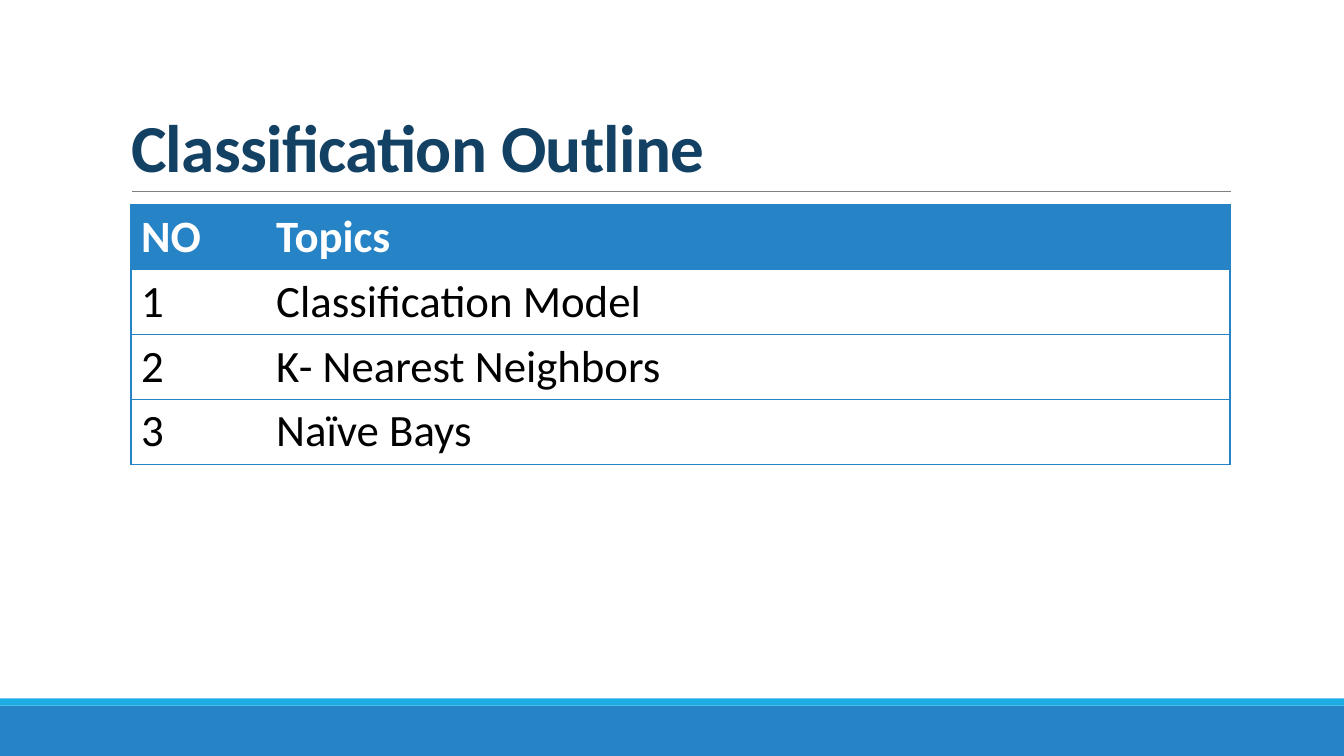
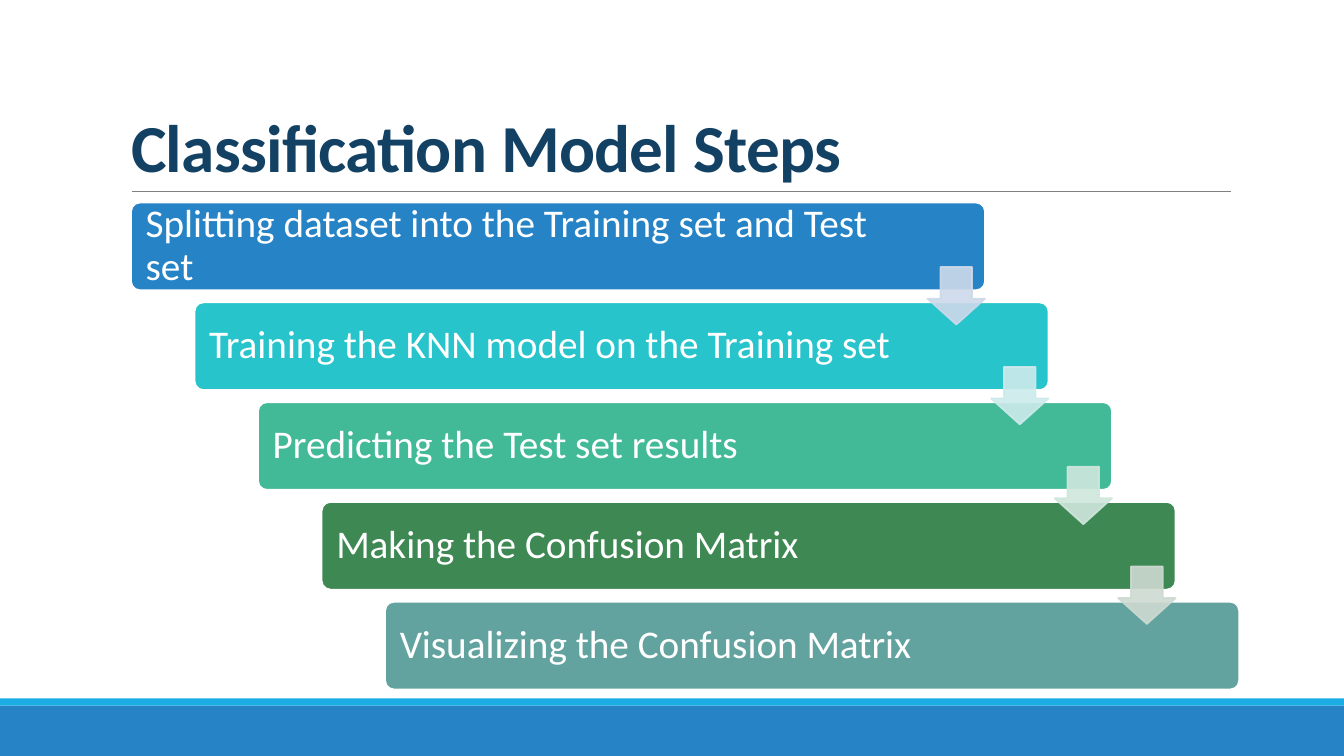
from dataclasses import dataclass

import pptx
import pptx.dml.color
import pptx.enum.shapes
import pptx.enum.text
import pptx.oxml.ns
import pptx.oxml.xmlchemy
import pptx.presentation
import pptx.shapes.autoshape
import pptx.slide
import pptx.table
import pptx.text.text
import pptx.util
from lxml import etree

Inches = pptx.util.Inches
Pt = pptx.util.Pt
RGBColor = pptx.dml.color.RGBColor
MSO_SHAPE = pptx.enum.shapes.MSO_SHAPE
qn = pptx.oxml.ns.qn

# Shared look
FONT = "Calibri"
WHITE = RGBColor(0xFF, 0xFF, 0xFF)
BLACK = RGBColor(0x00, 0x00, 0x00)
NAVY = RGBColor(0x13, 0x41, 0x63)
GRAY = RGBColor(0x80, 0x80, 0x80)
BLUE = RGBColor(0x26, 0x83, 0xC6)
SKY = RGBColor(0x1C, 0xAD, 0xE4)
TURQUOISE = RGBColor(0x28, 0xC4, 0xCC)
MINT = RGBColor(0x42, 0xBA, 0x97)
GREEN = RGBColor(0x3E, 0x88, 0x53)
SAGE = RGBColor(0x62, 0xA3, 0x9F)
PALE_BLUE = RGBColor(0xCD, 0xD9, 0xEA)
PALE_TURQUOISE = RGBColor(0xCD, 0xEA, 0xEC)
PALE_MINT = RGBColor(0xCF, 0xE7, 0xDD)
PALE_GREEN = RGBColor(0xCE, 0xDA, 0xD1)

SLIDE_WIDTH = 13.33
SLIDE_HEIGHT = 7.5

# Staircase of steps
CARD_LEFT, CARD_TOP = 1.3, 2.01
CARD_WIDTH, CARD_HEIGHT = 8.47, 0.87
STEP_RIGHT, STEP_DOWN = 0.63, 0.99
ARROW_SIZE, ARROW_DROP = 0.57, 0.64


@dataclass(frozen=True)
class Band:
    top: float
    height: float
    color: RGBColor


@dataclass(frozen=True)
class Step:
    text: str
    color: RGBColor
    arrow_color: RGBColor | None = None


BANDS = (Band(7, 0.5, BLUE), Band(6.93, 0.07, SKY))

TOPICS = (
    ("NO", "Topics"),
    ("1", "Classification Model"),
    ("2", "K- Nearest Neighbors"),
    ("3", "Naïve Bays"),
)

STEPS = (
    Step("Splitting dataset into the Training set and Test set", BLUE, PALE_BLUE),
    Step("Training the KNN model on the Training set", TURQUOISE, PALE_TURQUOISE),
    Step("Predicting the Test set results", MINT, PALE_MINT),
    Step("Making the Confusion Matrix", GREEN, PALE_GREEN),
    Step("Visualizing the Confusion Matrix", SAGE),
)


def add_run(paragraph: pptx.text.text._Paragraph, text: str, size: float,
            color: RGBColor, bold: bool = False) -> pptx.text.text._Run:
    run = paragraph.add_run()
    run.text = text
    run.font.name = FONT
    run.font.size = Pt(size)
    run.font.bold = bold
    run.font.color.rgb = color
    return run


def add_block(slide: pptx.slide.Slide, kind: MSO_SHAPE, left: float, top: float,
              width: float, height: float, fill: RGBColor,
              outline: RGBColor | None = None) -> pptx.shapes.autoshape.Shape:
    block = slide.shapes.add_shape(
        kind, Inches(left), Inches(top), Inches(width), Inches(height))
    block.shadow.inherit = False
    block.fill.solid()
    block.fill.fore_color.rgb = fill
    if outline is None:
        block.line.fill.background()
    else:
        block.line.color.rgb = outline
        block.line.width = Pt(1.25)
    return block


def add_titled_slide(deck: pptx.presentation.Presentation, heading: str) -> pptx.slide.Slide:
    slide = deck.slides.add_slide(deck.slide_layouts[5])

    # Footer bands
    for band in BANDS:
        add_block(slide, MSO_SHAPE.RECTANGLE, 0, band.top, SLIDE_WIDTH, band.height, band.color)

    # Rule under the title
    rule = slide.shapes.add_connector(
        pptx.enum.shapes.MSO_CONNECTOR.STRAIGHT,
        Inches(1.31), Inches(1.9), Inches(12.21), Inches(1.9))
    rule.line.color.rgb = GRAY
    rule.line.width = Pt(0.5)
    etree.SubElement(rule._element.spPr, qn("a:effectLst"))

    # Title
    title = slide.shapes.title
    title.left, title.top = Inches(1.2), Inches(0.31)
    title.width, title.height = Inches(11), Inches(1.59)
    frame = title.text_frame
    frame.auto_size = pptx.enum.text.MSO_AUTO_SIZE.NONE
    frame.vertical_anchor = pptx.enum.text.MSO_ANCHOR.BOTTOM
    paragraph = frame.paragraphs[0]
    paragraph.alignment = pptx.enum.text.PP_ALIGN.LEFT
    paragraph.line_spacing = 0.85
    run = add_run(paragraph, heading, 48, NAVY, bold=True)
    run.font._element.set("spc", "-50")
    return slide


def set_border(cell: pptx.table._Cell, side: str, color: RGBColor | None) -> None:
    border = etree.SubElement(cell._tc.get_or_add_tcPr(), qn(f"a:ln{side}"), w=str(Pt(1)))
    if color is None:
        etree.SubElement(border, qn("a:noFill"))
    else:
        fill = etree.SubElement(border, qn("a:solidFill"))
        etree.SubElement(fill, qn("a:srgbClr"), val=str(color))


def add_topics_table(slide: pptx.slide.Slide) -> None:
    row_height = 0.64
    topics = slide.shapes.add_table(
        len(TOPICS), 2, Inches(1.3), Inches(2.03),
        Inches(10.9), Inches(row_height * len(TOPICS))).table
    topics.horz_banding = False
    topics.columns[0].width = Inches(1.34)
    topics.columns[1].width = Inches(9.56)
    for row_index, row in enumerate(TOPICS):
        is_header = row_index == 0
        for column_index, text in enumerate(row):
            cell = topics.cell(row_index, column_index)
            # Outer frame and row rules, no rule between the columns
            set_border(cell, "L", BLUE if column_index == 0 else None)
            set_border(cell, "R", BLUE if column_index == 1 else None)
            set_border(cell, "T", BLUE)
            set_border(cell, "B", BLUE)
            if is_header:
                cell.fill.solid()
                cell.fill.fore_color.rgb = BLUE
            else:
                cell.fill.background()
            add_run(cell.text_frame.paragraphs[0], text, 32,
                    WHITE if is_header else BLACK, bold=is_header)


def add_step_card(slide: pptx.slide.Slide, step: Step, left: float, top: float) -> None:
    card = add_block(slide, MSO_SHAPE.ROUNDED_RECTANGLE, left, top,
                     CARD_WIDTH, CARD_HEIGHT, step.color, WHITE)
    card.adjustments[0] = 0.1
    frame = card.text_frame
    frame.word_wrap = True
    frame.vertical_anchor = pptx.enum.text.MSO_ANCHOR.MIDDLE
    frame.margin_left = frame.margin_top = frame.margin_bottom = Inches(0.12)
    frame.margin_right = Inches(1.12)  # room for the arrow
    paragraph = frame.paragraphs[0]
    paragraph.alignment = pptx.enum.text.PP_ALIGN.LEFT
    paragraph.line_spacing = 0.9
    add_run(paragraph, step.text, 28, WHITE)


def add_step_arrow(slide: pptx.slide.Slide, color: RGBColor, left: float, top: float) -> None:
    arrow = add_block(slide, MSO_SHAPE.DOWN_ARROW, left, top,
                      ARROW_SIZE, ARROW_SIZE, color, color)
    arrow.adjustments[0] = 0.55
    arrow.adjustments[1] = 0.45
    for tint in arrow._element.spPr.iter(qn("a:srgbClr")):
        etree.SubElement(tint, qn("a:alpha"), val="90000")


def add_staircase(slide: pptx.slide.Slide) -> None:
    places = [(CARD_LEFT + index * STEP_RIGHT, CARD_TOP + index * STEP_DOWN)
              for index in range(len(STEPS))]
    for step, (left, top) in zip(STEPS, places):
        add_step_card(slide, step, left, top)
    # Arrows lie over the cards they link
    for step, (left, top) in zip(STEPS, places):
        if step.arrow_color is not None:
            add_step_arrow(slide, step.arrow_color,
                           left + CARD_WIDTH - ARROW_SIZE, top + ARROW_DROP)


def main() -> None:
    deck = pptx.Presentation()
    deck.slide_width = Inches(SLIDE_WIDTH)
    deck.slide_height = Inches(SLIDE_HEIGHT)
    add_topics_table(add_titled_slide(deck, "Classification Outline"))
    add_staircase(add_titled_slide(deck, "Classification Model Steps"))
    deck.save("out.pptx")


if __name__ == "__main__":
    main()
